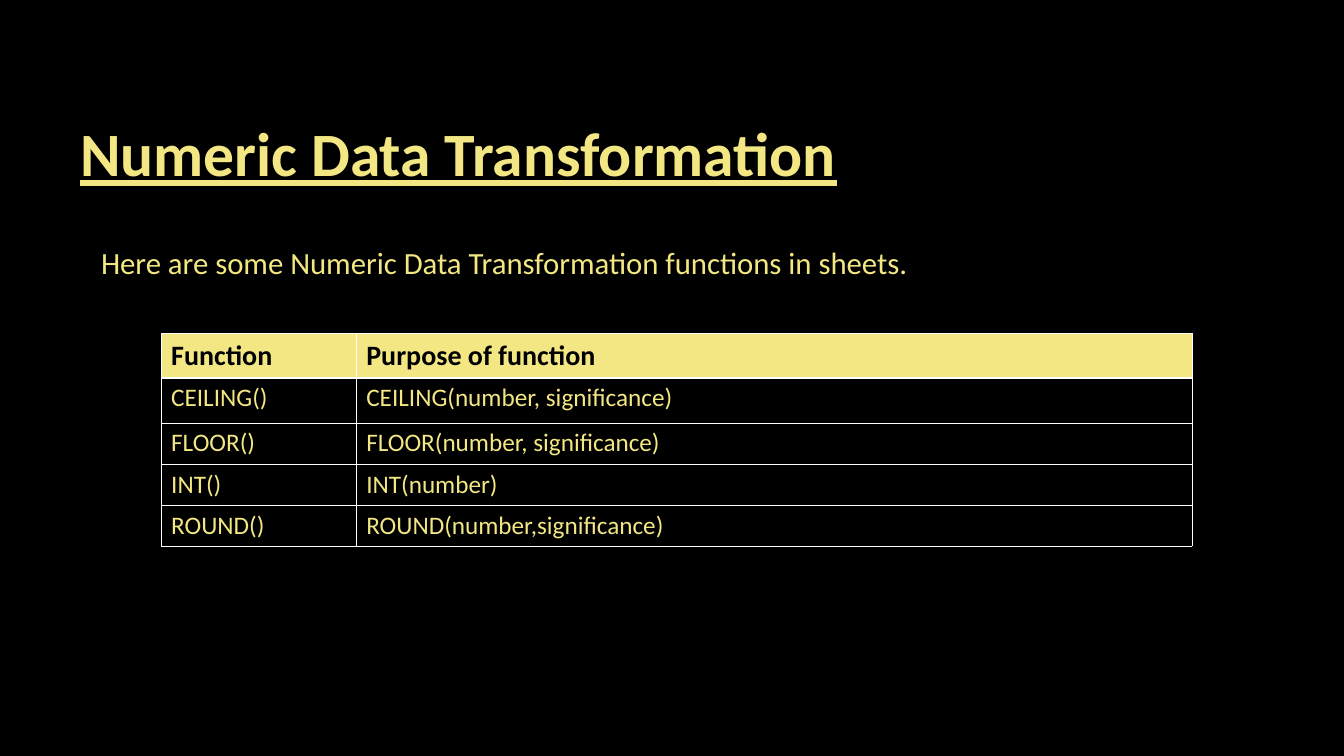
"""Build the slide on numeric data transformation functions."""
from lxml import etree
from pptx import Presentation
from pptx.dml.color import RGBColor
from pptx.enum import text
from pptx.oxml.ns import qn
from pptx.util import Pt

TITLE = "Numeric Data Transformation"
INTRO = "Here are some Numeric Data Transformation functions in sheets."
ROWS = [
    ("Function", "Purpose of function"),
    ("CEILING()", "CEILING(number, significance)"),
    ("FLOOR()", "FLOOR(number, significance)"),
    ("INT()", "INT(number)"),
    ("ROUND()", "ROUND(number,significance)"),
]
COLS = (195, 835)
HIGHS = (44, 45, 41, 41, 41)
FONT = "Calibri"
GOLD = RGBColor(0xF2, 0xE7, 0x82)
BLACK = RGBColor(0, 0, 0)
WHITE = RGBColor(0xFF, 0xFF, 0xFF)
THIN, THICK = Pt(0.45), Pt(1.47)
PX = 9080


def write(frame, words, size, color=GOLD, bold=False, under=False, lead=None):
    para = frame.paragraphs[0]
    para.alignment = text.PP_ALIGN.LEFT
    para.space_before = Pt(0)
    if lead:
        para.line_spacing = Pt(lead)
    run = para.add_run()
    run.text = words
    font = run.font
    font.name, font.size, font.bold, font.underline = FONT, Pt(size), bold, under
    font.color.rgb = color


def place(holder, left, top, width, height):
    holder.left, holder.top = left * PX, top * PX
    holder.width, holder.height = width * PX, height * PX
    frame = holder.text_frame
    frame.margin_left = frame.margin_right = 0
    frame.margin_top = frame.margin_bottom = 0
    frame.vertical_anchor = text.MSO_ANCHOR.TOP
    frame.auto_size = text.MSO_AUTO_SIZE.NONE
    frame.word_wrap = True
    return frame


def border(cell, **widths):
    props = cell._tc.get_or_add_tcPr()
    for spot, side in enumerate("LRTB"):
        line = etree.Element(qn("a:ln" + side), w=str(widths.get(side, THIN)))
        fill = etree.SubElement(line, qn("a:solidFill"))
        etree.SubElement(fill, qn("a:srgbClr"), val=str(WHITE))
        props.insert(spot, line)


def fill_table(table):
    for col, width in zip(table.columns, COLS):
        col.width = width * PX
    for r, (row, high, words) in enumerate(zip(table.rows, HIGHS, ROWS)):
        row.height = high * PX
        for cell, word in zip(row.cells, words):
            if r == 0:
                cell.fill.solid()
                cell.fill.fore_color.rgb = GOLD
                write(cell.text_frame, word, 20, BLACK, bold=True)
                border(cell, B=THICK)
            else:
                cell.fill.background()
                write(cell.text_frame, word, 18)
                border(cell, T=THICK if r == 1 else THIN)


def main():
    deck = Presentation()
    deck.slide_width, deck.slide_height = 1343 * PX, 755 * PX
    slide = deck.slides.add_slide(deck.slide_layouts[1])
    slide.background.fill.solid()
    slide.background.fill.fore_color.rgb = BLACK
    title, body = slide.placeholders
    write(place(title, 80, 111, 1090, 78), TITLE, 44, bold=True, under=True, lead=55.5)
    frame = place(body, 101, 242, 1156, 78)
    write(frame, INTRO, 22, lead=27.5)
    props = frame.paragraphs[0]._p.get_or_add_pPr()
    props.set("marL", "0")
    props.set("indent", "0")
    etree.SubElement(props, qn("a:buNone"))
    grid = slide.shapes.add_table(len(ROWS), len(COLS), 161 * PX, 333 * PX,
                                  sum(COLS) * PX, sum(HIGHS) * PX)
    fill_table(grid.table)
    deck.save("out.pptx")


if __name__ == "__main__":
    main()
